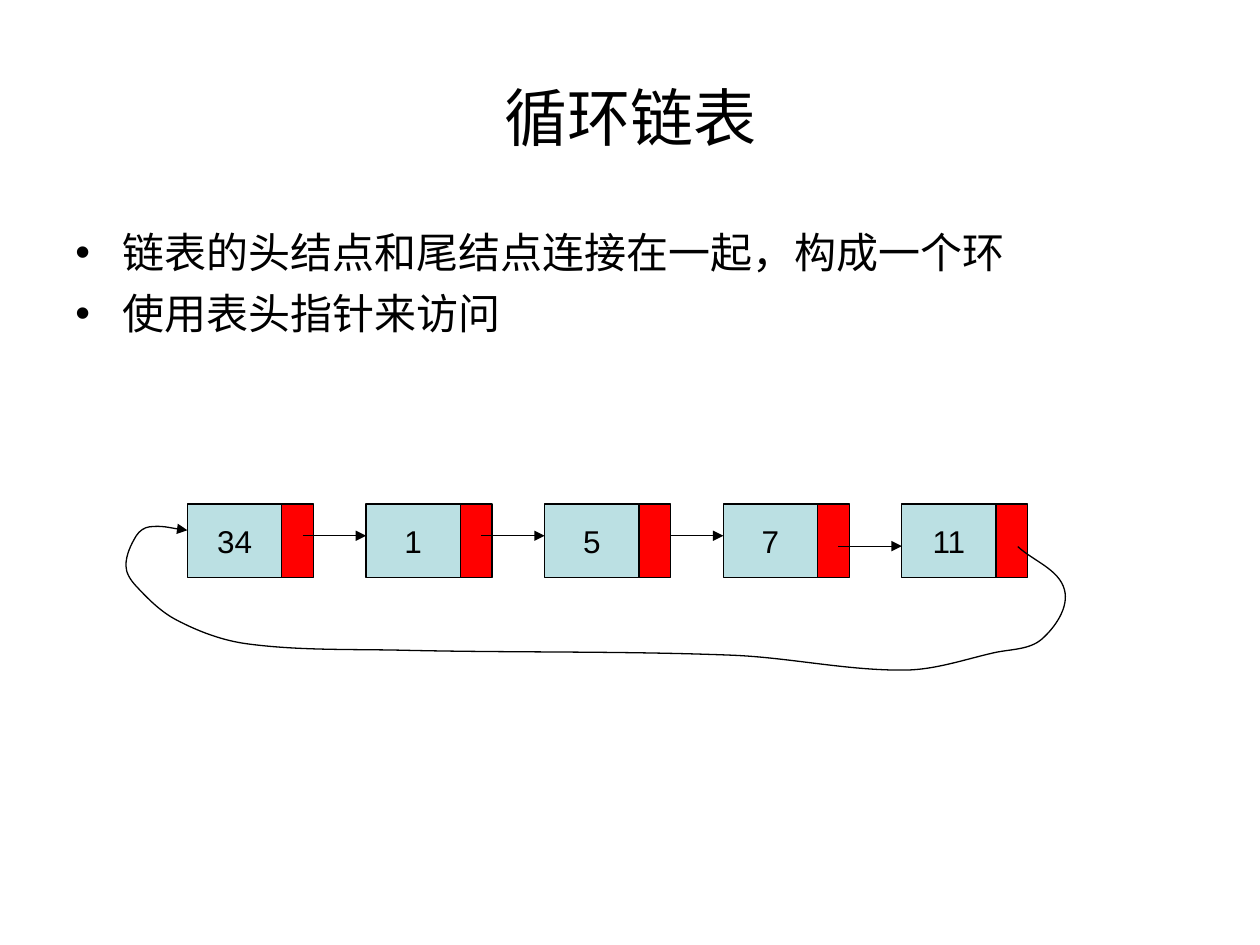
import math
from dataclasses import dataclass

from lxml import etree
from pptx import Presentation
from pptx import util as u
from pptx.dml.color import RGBColor
from pptx.enum import shapes, text
from pptx.oxml import ns


@dataclass(frozen=True)
class Theme:
    font: str = "Arial"
    ink: RGBColor = RGBColor(0, 0, 0)
    data: RGBColor = RGBColor(0xBB, 0xE0, 0xE3)
    pointer: RGBColor = RGBColor(0xFF, 0, 0)
    title_size: int = 36
    body_size: int = 24
    node_size: int = 18
    line_width: float = 0.75


THEME = Theme()

TITLE = "循环链表"
BULLETS = ["链表的头结点和尾结点连接在一起，构成一个环", "使用表头指针来访问"]
VALUES = ["34", "1", "5", "7", "11"]

# Node row, in centimetres
LEFT, TOP, PITCH = 3.78, 10.16, 3.6
DATA_W, POINTER_W, NODE_H = 1.9, 0.64, 1.48
NODE_W = DATA_W + POINTER_W
RIGHT = LEFT + PITCH * (len(VALUES) - 1) + NODE_W

# A link starts inside the pointer cell or at the node's edge
INSIDE, EDGE = NODE_W - 0.22, NODE_W
UPPER, LOWER = 0.64, 0.85
LINKS = [(INSIDE, UPPER), (INSIDE, UPPER), (EDGE, UPPER), (INSIDE, LOWER)]

# Closing link: (across, down) from the row's top right, then top left corner
RIGHT_TURN = [(-0.2, 0.86), (0.74, 1.73), (0.29, 2.72), (-0.68, 3)]
DIP = [(-2.48, 3.35), (-5.96, 3.05)]
LEFT_RUN = [(4.35, 2.95), (1.2, 2.82), (-0.22, 2.34)]
LEFT_TURN = [(-1.04, 1.65), (-1.24, 1.24), (-1.03, 0.64), (-0.76, 0.46), (0, 0.53)]


def set_attrs(obj, values):
    for name, value in values.items():
        setattr(obj, name, value)


def write(p, words, size):
    r = p.add_run()
    r.text = words
    set_attrs(r.font, {"name": THEME.font, "size": u.Pt(size)})
    r.font.color.rgb = THEME.ink


def style_line(sp, arrow=False):
    sp.line.color.rgb = THEME.ink
    sp.line.width = u.Pt(THEME.line_width)
    if arrow:
        ln = sp._element.spPr.find(ns.qn("a:ln"))
        etree.SubElement(ln, ns.qn("a:tailEnd"), type="triangle")


def add_title(s, words):
    sp = s.shapes.title
    set_attrs(sp, {"left": u.Cm(1.27), "top": u.Cm(0.76),
                   "width": u.Cm(22.86), "height": u.Cm(3.18)})
    tf = sp.text_frame
    tf.vertical_anchor = text.MSO_ANCHOR.MIDDLE
    p = tf.paragraphs[0]
    p.alignment = text.PP_ALIGN.CENTER
    write(p, words, THEME.title_size)


def add_bullets(s, lines):
    sp = s.shapes.add_textbox(u.Cm(1.27), u.Cm(4.45), u.Cm(22.86), u.Cm(11.63))
    tf = sp.text_frame
    tf.word_wrap = True
    indent = u.Cm(0.95)
    for i, words in enumerate(lines):
        p = tf.add_paragraph() if i else tf.paragraphs[0]
        p.space_before = u.Pt(6 if i else 0)
        pPr = p._p.get_or_add_pPr()
        pPr.set("marL", str(indent))
        pPr.set("indent", str(-indent))
        etree.SubElement(pPr, ns.qn("a:buFont"), typeface=THEME.font)
        etree.SubElement(pPr, ns.qn("a:buChar"), char="•")
        write(p, words, THEME.body_size)


def add_cell(s, left, width, fill):
    sp = s.shapes.add_shape(shapes.MSO_SHAPE.RECTANGLE, u.Cm(left), u.Cm(TOP),
                            u.Cm(width), u.Cm(NODE_H))
    sp.shadow.inherit = False
    sp.fill.solid()
    sp.fill.fore_color.rgb = fill
    style_line(sp)
    return sp


def add_node(s, left, value):
    tf = add_cell(s, left, DATA_W, THEME.data).text_frame
    set_attrs(tf, {"word_wrap": False,
                   "vertical_anchor": text.MSO_ANCHOR.MIDDLE})
    p = tf.paragraphs[0]
    p.alignment = text.PP_ALIGN.CENTER
    write(p, value, THEME.node_size)
    add_cell(s, left + DATA_W, POINTER_W, THEME.pointer)


def add_link(s, start, end, y):
    sp = s.shapes.add_connector(shapes.MSO_CONNECTOR.STRAIGHT,
                                u.Cm(start), u.Cm(y), u.Cm(end), u.Cm(y))
    style_line(sp, arrow=True)
    etree.SubElement(sp._element.spPr, ns.qn("a:effectLst"))


def smooth_curve(stops):
    """Give two handles and an end for each curve between neighbouring stops."""
    # The direction at a stop runs parallel to the line joining its neighbours
    directions = []
    for (x0, y0), (x1, y1) in zip(stops[:1] + stops, stops[1:] + stops[-1:]):
        size = math.dist((x0, y0), (x1, y1))
        directions.append(((x1 - x0) / size, (y1 - y0) / size))

    points = []
    for i, (start, end) in enumerate(zip(stops, stops[1:])):
        reach = math.dist(start, end) / 3
        (ax, ay), (bx, by) = directions[i:i + 2]
        points += [(start[0] + ax * reach, start[1] + ay * reach),
                   (end[0] - bx * reach, end[1] - by * reach), end]
    return points


def add_curved_link(s, stops):
    builder = s.shapes.build_freeform(*map(u.Cm, stops[0]))
    builder.add_line_segments([(u.Cm(x), u.Cm(y)) for x, y in smooth_curve(stops)],
                              close=False)
    sp = builder.convert_to_shape()
    # Each three points become one Bézier curve
    segments = sp._element.findall(".//" + ns.qn("a:lnTo"))
    outline = segments[0].getparent()
    for i in range(0, len(segments), 3):
        curve = etree.SubElement(outline, ns.qn("a:cubicBezTo"))
        for segment in segments[i:i + 3]:
            curve.append(segment[0])
            outline.remove(segment)
    sp.shadow.inherit = False
    sp.fill.background()
    style_line(sp, arrow=True)


def main():
    prs = Presentation()
    set_attrs(prs, {"slide_width": u.Cm(25.4), "slide_height": u.Cm(19.05)})
    s = prs.slides.add_slide(prs.slide_layouts[5])

    # Heading and explanation
    add_title(s, TITLE)
    add_bullets(s, BULLETS)

    # Nodes, then the links between neighbours
    lefts = [LEFT + i * PITCH for i in range(len(VALUES))]
    for left, value in zip(lefts, VALUES):
        add_node(s, left, value)
    for left, following, (dx, dy) in zip(lefts, lefts[1:], LINKS):
        add_link(s, left + dx, following, TOP + dy)

    # Closing link from the last node round to the first
    sides = [(RIGHT, RIGHT_TURN + DIP), (LEFT, LEFT_RUN + LEFT_TURN)]
    add_curved_link(s, [(edge + dx, TOP + dy)
                        for edge, offsets in sides for dx, dy in offsets])
    prs.save("out.pptx")


if __name__ == "__main__":
    main()
